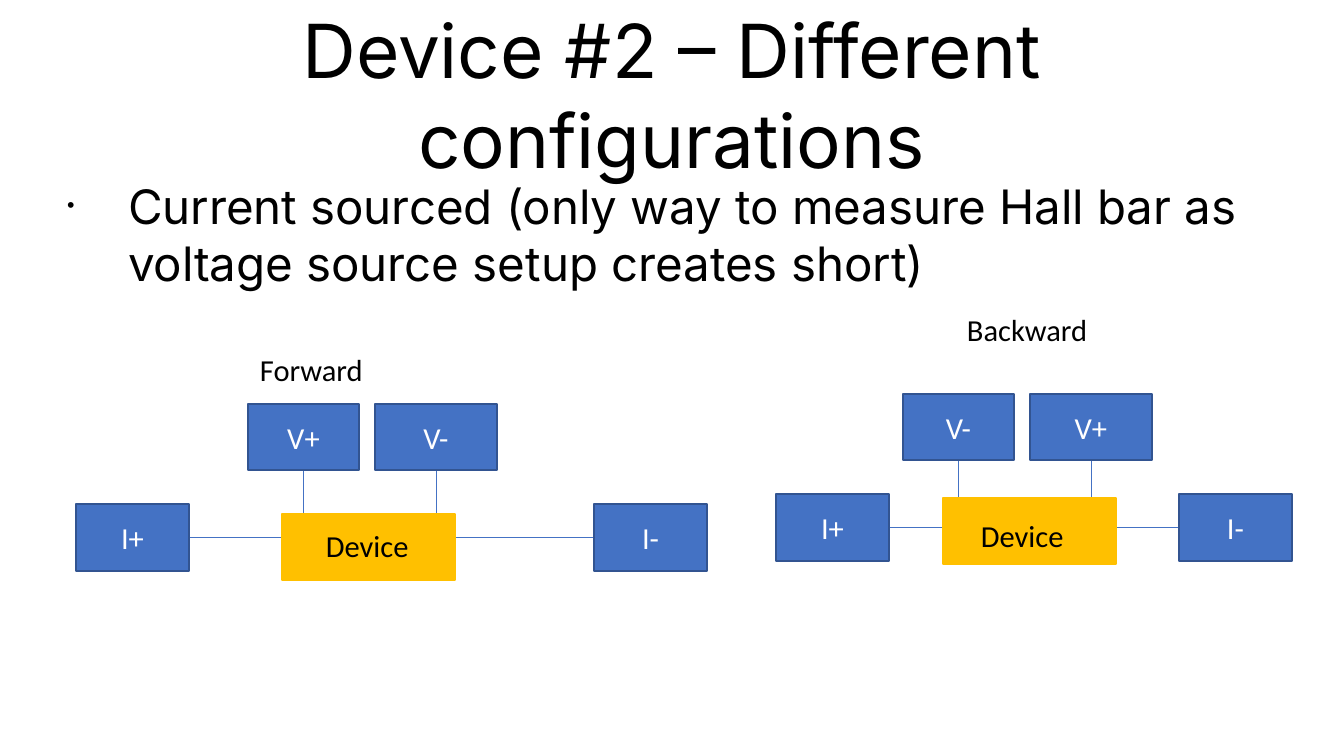
from lxml.etree import SubElement
from pptx import Presentation
from pptx.dml.color import RGBColor
from pptx.enum.shapes import MSO_CONNECTOR, MSO_SHAPE
from pptx.enum.text import MSO_ANCHOR, MSO_AUTO_SIZE, PP_ALIGN
from pptx.oxml.ns import qn
from pptx.util import Emu, Pt

SCALE = 914400 / 122
COLORS = {
    "terminal": "4472C4",
    "border": "325491",
    "device": "FFC000",
    "light": "FFFFFF",
    "dark": "000000",
}
TERMINAL_OFFSET = 100
SECOND_VOLTAGE_OFFSET = 127
VOLTAGE_WIRES = (55, 188)


def px(value):
    return Emu(round(value * SCALE))


def color(name):
    return RGBColor.from_string(COLORS[name])


def write(shape, text, size=18, font="Calibri", fill="dark",
          align=PP_ALIGN.LEFT, anchor=MSO_ANCHOR.TOP, margin=None):
    frame = shape.text_frame
    frame.word_wrap = True
    frame.auto_size = MSO_AUTO_SIZE.NONE
    frame.vertical_anchor = anchor
    if margin is not None:
        frame.margin_left = frame.margin_right = px(margin)
        frame.margin_top = frame.margin_bottom = px(margin)
    paragraph = frame.paragraphs[0]
    paragraph.alignment = align
    run = paragraph.add_run()
    run.text = text
    run.font.size = Pt(size)
    run.font.name = font
    run.font.color.rgb = color(fill)
    return paragraph


def place(shape, left, top, width, height):
    shape.left, shape.top = px(left), px(top)
    shape.width, shape.height = px(width), px(height)


def add_bullet(paragraph, indent):
    properties = paragraph._p.get_or_add_pPr()
    properties.set("marL", str(px(indent)))
    properties.set("indent", str(-px(indent)))
    SubElement(properties, qn("a:buSzPct"), val="45000")
    SubElement(properties, qn("a:buChar"), char="•")


def add_box(slide, left, top, width, height, fill, border):
    box = slide.shapes.add_shape(
        MSO_SHAPE.RECTANGLE, px(left), px(top), px(width), px(height))
    box.shadow.inherit = False
    box.fill.solid()
    box.fill.fore_color.rgb = color(fill)
    box.line.color.rgb = color(border)
    box.line.width = Pt(1)
    return box


def add_terminal(slide, text, left, top, width, height):
    box = add_box(slide, left, top, width, height, "terminal", "border")
    write(box, text, fill="light", align=PP_ALIGN.CENTER,
          anchor=MSO_ANCHOR.MIDDLE)


def add_label(slide, text, left, top, width):
    label = slide.shapes.add_textbox(px(left), px(top), px(width), px(49))
    write(label, text)


def add_wire(slide, start_x, start_y, end_x, end_y):
    wire = slide.shapes.add_connector(
        MSO_CONNECTOR.STRAIGHT, px(start_x), px(start_y), px(end_x), px(end_y))
    wire.line.color.rgb = color("terminal")
    wire.line.width = Pt(0.5)
    SubElement(wire._element.spPr, qn("a:effectLst"))


def add_circuit(slide, name, left, top, voltages, currents, device, label):
    device_left, device_top = left + device[0], top + device[1]
    source, drain = (left + offset for offset in currents)
    current_top = top + TERMINAL_OFFSET

    add_wire(slide, source + 113, current_top + 33, drain, current_top + 33)
    for offset in VOLTAGE_WIRES:
        add_wire(slide, left + offset, top + 66, left + offset, device_top)

    add_terminal(slide, voltages[0], left, top, 111, 66)
    add_terminal(slide, voltages[1], left + SECOND_VOLTAGE_OFFSET, top, 122, 66)
    for text, terminal_left in (("I+", source), ("I-", drain)):
        add_terminal(slide, text, terminal_left, current_top, 113, 67)

    add_box(slide, device_left, device_top, 173, 66, "device", "device")
    add_label(slide, "Device", left + 66, top + 117, 134)
    add_label(slide, name, left + label[0], top + label[1], 283)


def main():
    presentation = Presentation()
    presentation.slide_width, presentation.slide_height = px(1344), px(756)
    slide = presentation.slides.add_slide(presentation.slide_layouts[1])

    title, body = slide.shapes.title, slide.placeholders[1]
    place(title, 67, 30, 1210, 127)
    write(title, "Device #2 – Different configurations", size=44, font="Inter",
          align=PP_ALIGN.CENTER, anchor=MSO_ANCHOR.MIDDLE, margin=0)
    place(body, 67, 177, 1210, 228)
    paragraph = write(
        body, "Current sourced (only way to measure Hall bar as "
        "voltage source setup creates short)", size=28, font="Inter", margin=0)
    paragraph.space_before = Pt(14.2)
    add_bullet(paragraph, 61)

    add_circuit(slide, "Forward", 248, 404, voltages=("V+", "V-"),
                currents=(-172, 346), device=(34, 110), label=(0, -59))
    add_circuit(slide, "Backward", 903, 394, voltages=("V-", "V+"),
                currents=(-127, 276), device=(40, 104), label=(52, -89))

    presentation.save("out.pptx")


main()
